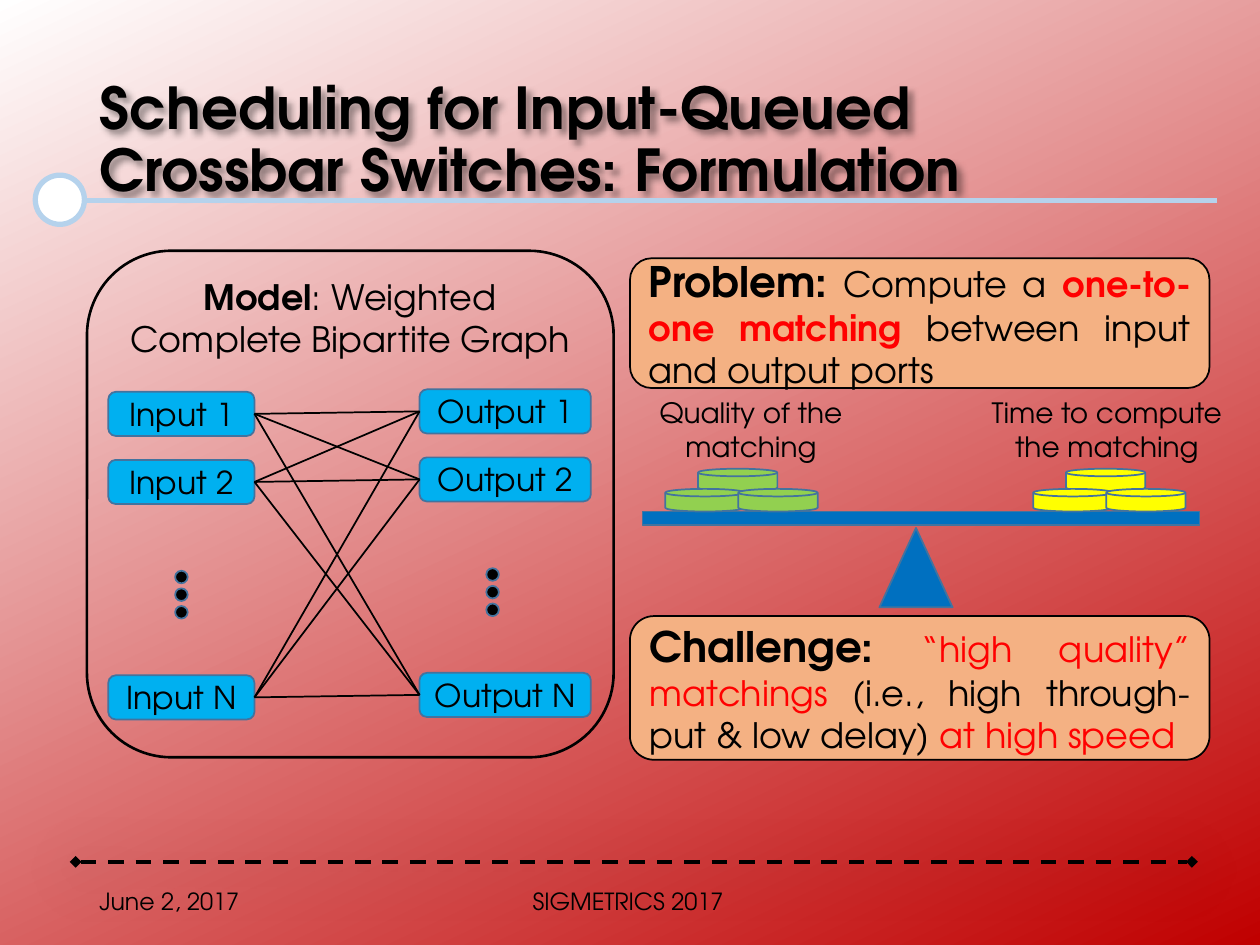
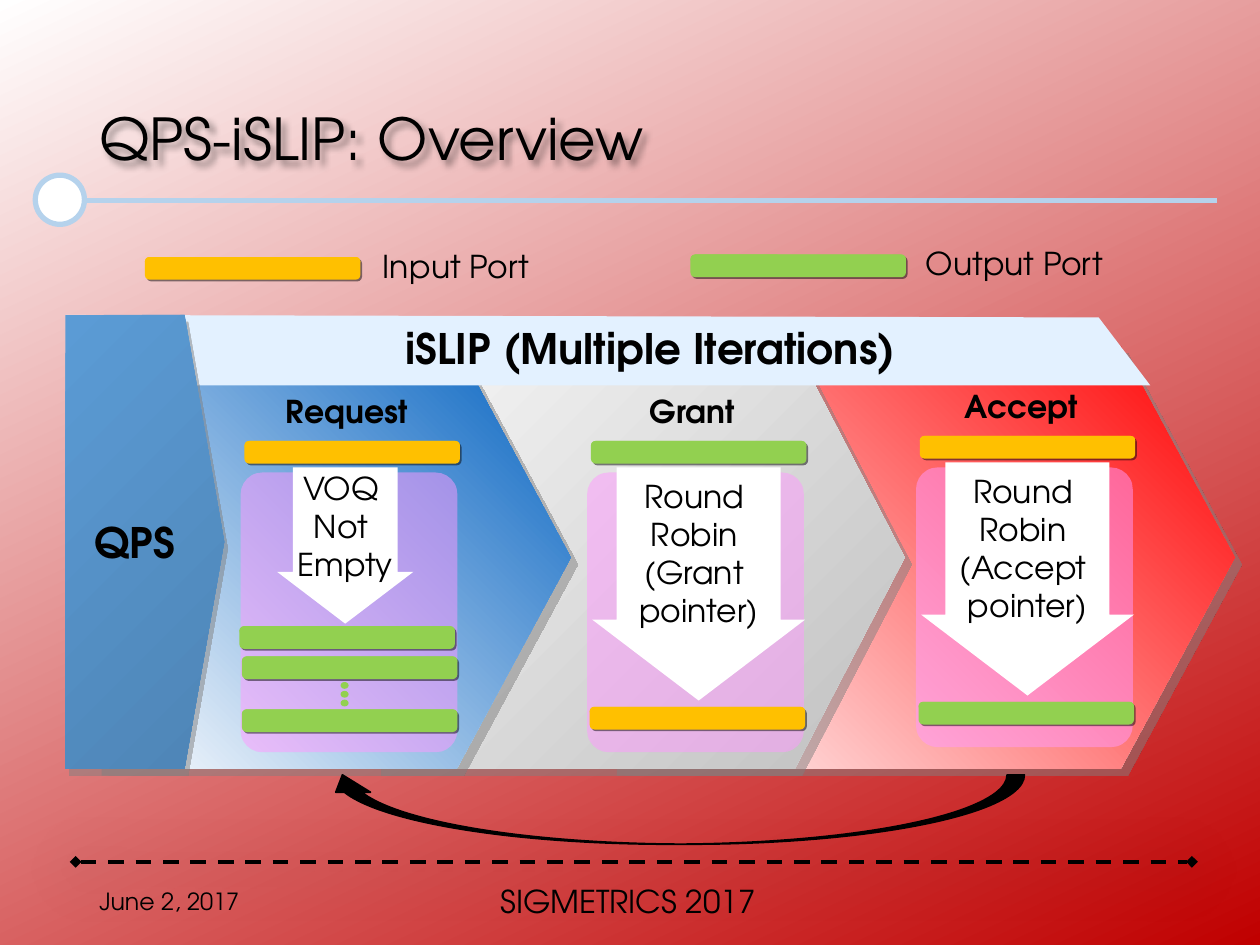
from dataclasses import dataclass
from itertools import product

from lxml import etree
from pptx import Presentation, util as u
from pptx.dml.color import RGBColor
from pptx.enum import dml, shapes, text
from pptx.oxml.ns import qn

SHAPE = shapes.MSO_SHAPE
ALIGN = text.PP_ALIGN
ANCHOR = text.MSO_ANCHOR


@dataclass(frozen=True)
class Theme:
    font: str = "TeX Gyre Adventor"
    ink: str = "000000"
    white: str = "FFFFFF"
    deep: str = "C00000"
    red: str = "FF0000"
    rail: str = "B5D2EC"
    edge: str = "43739E"
    node: str = "00B0F0"
    card: str = "F4B183"
    beam: str = "0070C0"
    green: str = "92D050"
    yellow: str = "FFFF00"
    amber: str = "FFC000"
    pink: str = "FF99FF"
    band: str = "E3F1FF"
    title: float = 33
    head: float = 24
    body: float = 20
    label: float = 18
    note: float = 16
    foot: float = 13.5


T = Theme()
PLATE_SHADE = ("808080", 50, 0, 5.7, 45)
QPS_SHADE = ("808080", 50, 0, 4.5, 63)
BAR_SHADE = ("080808", 50, 0, 1.4, 45)
RULE_SHADE = (T.ink, 43, 36, 4, 90)
TITLE_SHADE = (T.ink, 40, 4, 3, 45)


def rgb(code):
    return RGBColor.from_string(code)


def place(shape, box):
    shape.left, shape.top, shape.width, shape.height = map(u.Inches, box)


# Fills and effects
def paint(fill, color):
    """Fill with nothing, one colour, or a (start, end, angle) gradient."""
    if color is None:
        fill.background()
    elif isinstance(color, str):
        fill.solid()
        fill.fore_color.rgb = rgb(color)
    else:
        start, end, angle = color
        fill.gradient()
        fill.gradient_angle = 360 - angle
        for stop, code in zip(fill.gradient_stops, (start, end)):
            stop.color.rgb = rgb(code)


def fade(parent, percent):
    etree.SubElement(parent, qn("a:alpha"), val=str(percent * 1000))


def shade(shape, cast=None):
    """Clear the shadow, or cast (colour, opacity, blur, distance, angle)."""
    props = shape._element.spPr
    fx = props.find(qn("a:effectLst"))
    if fx is None:
        fx = etree.SubElement(props, qn("a:effectLst"))
    if cast:
        color, alpha, blur, dist, angle = cast
        outer = etree.SubElement(
            fx, qn("a:outerShdw"), blurRad=str(u.Pt(blur)),
            dist=str(u.Pt(dist)), dir=str(angle * 60000),
            algn="ctr", rotWithShape="0")
        fade(etree.SubElement(outer, qn("a:srgbClr"), val=color), alpha)


# Text
def write(shape, *paras, size=T.label, bold=False, color=T.ink, align=ALIGN.LEFT,
          anchor=ANCHOR.TOP, wrap=True, top=0.05, space=None):
    """Each paragraph is a string or a list of (text, overrides) runs."""
    frame = shape.text_frame
    frame.auto_size = text.MSO_AUTO_SIZE.NONE
    frame.word_wrap = wrap
    frame.vertical_anchor = anchor
    frame.margin_left = frame.margin_right = u.Inches(0.1)
    frame.margin_top, frame.margin_bottom = u.Inches(top), u.Inches(0.05)
    for i, runs in enumerate(paras):
        para = frame.add_paragraph() if i else frame.paragraphs[0]
        para.alignment = align
        if space:
            para.line_spacing = space
        for words, own in [(runs, {})] if isinstance(runs, str) else runs:
            run = para.add_run()
            run.text = words
            run.font.name = T.font
            run.font.size = u.Pt(own.get("size", size))
            run.font.bold = own.get("bold", bold)
            run.font.color.rgb = rgb(own.get("color", color))


def label(slide, box, *paras, **form):
    write(slide.shapes.add_textbox(*map(u.Inches, box)), *paras, **form)


# Shapes and lines
def dress(item, fill, line=None, width=1, cast=None):
    item.shadow.inherit = False
    paint(item.fill, fill)
    paint(item.line.fill, line)
    if line:
        item.line.width = u.Pt(width)
    shade(item, cast)


def draw(slide, kind, box, fill, adj=(), **style):
    item = slide.shapes.add_shape(kind, *map(u.Inches, box))
    for i, value in enumerate(adj):
        item.adjustments[i] = value
    dress(item, fill, **style)
    return item


def rule(slide, start=(0, 0), end=(0, 0), color=T.ink, width=1, cast=None):
    line = slide.shapes.add_connector(
        shapes.MSO_CONNECTOR.STRAIGHT, *map(u.Inches, (*start, *end)))
    line.line.color.rgb = rgb(color)
    line.line.width = u.Pt(width)
    shade(line, cast)
    return line


def dots(slide, x, y, w, h, step, fill, line):
    for i in range(3):
        draw(slide, SHAPE.OVAL, (x, y + i * step, w, h), fill, line=line)


# Shared slide frame
def frame(deck, title, bold=False, foot=T.foot):
    slide = deck.slides.add_slide(deck.slide_layouts[5])
    paint(slide.background.fill, (T.white, T.deep, 65))
    rule(slide, (0.69, 1.59), (9.66, 1.59), T.rail, 3)
    draw(slide, SHAPE.OVAL, (0.28, 1.39, 0.39, 0.39), T.white, line=T.rail, width=3)
    dash = rule(slide, (0.6, 6.84), (9.46, 6.84), width=2.25, cast=RULE_SHADE)
    dash.line.dash_style = dml.MSO_LINE.DASH
    stroke = dash._element.spPr.find(qn("a:ln"))
    for tip in ("a:headEnd", "a:tailEnd"):
        etree.SubElement(stroke, qn(tip), type="diamond")
    head = slide.shapes.title
    place(head, (0.69, 0.4, 8.62, 1.45))
    write(head, title, size=T.title, bold=bold, anchor=ANCHOR.MIDDLE, space=0.9)
    shade(head, TITLE_SHADE)
    label(slide, (0.69, 6.95, 2.25, 0.4), "June 2, 2017",
          size=T.foot, anchor=ANCHOR.MIDDLE)
    label(slide, (2.41, 6.95, 5.15, 0.4), "SIGMETRICS 2017",
          size=foot, anchor=ANCHOR.MIDDLE, align=ALIGN.CENTER)
    return slide


# Switch formulation
def ports(slide, name, x, width, shift):
    nodes = []
    for tag, y in zip("12N", (3.11, 3.65, 5.36)):
        node = draw(slide, SHAPE.ROUNDED_RECTANGLE, (x, y + shift, width, 0.35),
                    T.node, line=T.edge)
        write(node, f"{name} {tag}", align=ALIGN.CENTER, anchor=ANCHOR.MIDDLE)
        nodes.append(node)
    dots(slide, x + 0.53, 4.53 + shift, 0.1, 0.1, 0.14, T.ink, T.edge)
    return nodes


def card(slide, y, height, *runs):
    item = draw(slide, SHAPE.ROUNDED_RECTANGLE, (5, y, 4.6, height),
                T.card, line=T.ink)
    write(item, list(runs), size=T.body, align=ALIGN.JUSTIFY, anchor=ANCHOR.MIDDLE)


def pile(slide, x, fill):
    for dx, y in ((0.26, 3.72), (0, 3.88), (0.58, 3.88)):
        draw(slide, SHAPE.FLOWCHART_MAGNETIC_DISK, (x + dx, y, 0.63, 0.18),
             fill, line=T.edge)


def formulation(deck):
    slide = frame(deck, "Scheduling for Input-Queued Crossbar Switches: Formulation",
                  bold=True)
    # Bipartite graph
    inputs = ports(slide, "Input", 0.86, 1.16, 0)
    outputs = ports(slide, "Output", 3.33, 1.36, -0.02)
    for left, right in product(inputs, outputs):
        link = rule(slide)
        link.begin_connect(left, 3)
        link.end_connect(right, 1)
    model = draw(slide, SHAPE.ROUNDED_RECTANGLE, (0.69, 1.99, 4.18, 4.02),
                 None, line=T.ink, width=1.5)
    write(model, [("Model", {"bold": True}), (": Weighted Complete Bipartite Graph", {})],
          size=T.body, align=ALIGN.CENTER, top=0)
    # Problem and challenge
    lead = {"size": T.head, "bold": True}
    hot = {"color": T.red}
    card(slide, 2.05, 1.03, ("Problem:", lead), (" Compute a ", {}),
         ("one-to-one matching", {"color": T.red, "bold": True}),
         (" between input and output ports", {}))
    card(slide, 4.89, 1.14, ("Challenge: ", lead), ("“high quality” matchings", hot),
         (" (i.e., high through-put & low delay) ", {}), ("at high speed", hot))
    # Balance
    draw(slide, SHAPE.ISOSCELES_TRIANGLE, (6.98, 4.19, 0.58, 0.63), T.beam, line=T.edge)
    draw(slide, SHAPE.RECTANGLE, (5.1, 4.06, 4.42, 0.11), T.beam, line=T.edge)
    pile(slide, 5.28, T.green)
    pile(slide, 8.2, T.yellow)
    for x, width, words in ((4.98, 1.96, "Quality of the matching"),
                            (7.75, 2.07, "Time to compute the matching")):
        label(slide, (x, 3.09, width, 0.64), words, size=T.note, align=ALIGN.CENTER)


# Iteration overview
def bar(slide, x, y, fill):
    draw(slide, SHAPE.ROUNDED_RECTANGLE, (x, y, 1.71, 0.18), fill, (0.21,),
         cast=BAR_SHADE)
    draw(slide, SHAPE.ROUNDED_RECTANGLE, (x, y, 1.71, 0.07), fill, (0.5,))


def plate(slide, box, adj, fill, cast=PLATE_SHADE):
    return draw(slide, SHAPE.PENTAGON, box, fill, (adj,), cast=cast)


def stage(slide, name, x, y, indent, lines, color, arrow=(0.04, 1.69, 1.85)):
    label(slide, (x + indent, y - 0.69, 1.2, 0.4), name, bold=True)
    panel = draw(slide, SHAPE.ROUNDED_RECTANGLE, (x, y, 1.72, 2.22), T.pink, (0.1,))
    fade(panel._element.spPr.find(".//" + qn("a:srgbClr")), 50)
    dx, width, height = arrow
    down = draw(slide, SHAPE.DOWN_ARROW, (x + dx, y - 0.04, width, height),
                T.white, (0.77, 0.38))
    write(down, *lines, align=ALIGN.CENTER, anchor=ANCHOR.MIDDLE, wrap=False)
    bar(slide, x + 0.03, y - 0.25, color)


def overview(deck):
    slide = frame(deck, "QPS-iSLIP: Overview", foot=T.label)
    # Chevron chain
    plate(slide, (4.84, 2.75, 4.96, 3.35), 0.27, (T.white, T.red, 315))
    plate(slide, (2.97, 2.75, 4.21, 3.35), 0.26, ("F7F7F7", "C0C0C0", 45))
    plate(slide, (0.75, 2.75, 3.78, 3.35), 0.27, (T.white, "0563C1", 315))
    first, *rest = [tuple(map(u.Inches, spot)) for spot in
                    ((0.52, 2.5), (0.73, 3.06), (9.13, 3.06), (8.72, 2.52))]
    path = slide.shapes.build_freeform(*first)
    path.add_line_segments(rest, close=True)
    dress(path.convert_to_shape(), T.band)
    qps = plate(slide, (0.52, 2.5, 1.26, 3.6), 0.25, ("5B9BD5", "4E85B6", 45), QPS_SHADE)
    write(qps, "QPS", size=T.head, bold=True, align=ALIGN.CENTER,
          anchor=ANCHOR.MIDDLE, wrap=False)
    label(slide, (3.12, 2.51, 4.11, 0.5), "iSLIP (Multiple Iterations)",
          size=T.head, bold=True, wrap=False)
    # Stages
    stage(slide, "Request", 1.91, 3.75, 0.26, ("VOQ ", "Not ", "Empty"), T.amber,
          (0.29, 1.08, 1.24))
    for x, y in ((1.9, 4.97), (1.92, 5.21), (1.92, 5.63)):
        bar(slide, x, y, T.green)
    dots(slide, 2.71, 5.42, 0.05, 0.04, 0.07, T.green, T.green)
    for name, x, y, indent, color, pick in (
            ("Grant", 4.66, 3.75, 0.4, T.green, T.amber),
            ("Accept", 7.27, 3.71, 0.29, T.amber, T.green)):
        stage(slide, name, x, y, indent,
              ("Round ", "Robin ", f"({name} ", "pointer)"), color)
        bar(slide, x + 0.02, y + 1.86, pick)
    # Legend
    for x, y, fill, tx, width, words in (
            (1.15, 2.04, T.amber, 2.94, 1.37, "Input Port"),
            (5.48, 2.02, T.green, 7.25, 1.62, "Output Port")):
        bar(slide, x, y, fill)
        label(slide, (tx, y - 0.13, width, 0.4), words, wrap=False)
    # Loop back
    loop = draw(slide, SHAPE.CURVED_LEFT_ARROW, (5.08, 3.65, 0.55, 5.55),
                T.ink, line=T.ink)
    loop.rotation = 90


def main():
    deck = Presentation()
    deck.slide_width, deck.slide_height = u.Inches(10), u.Inches(7.5)
    formulation(deck)
    overview(deck)
    deck.save("out.pptx")


if __name__ == "__main__":
    main()
